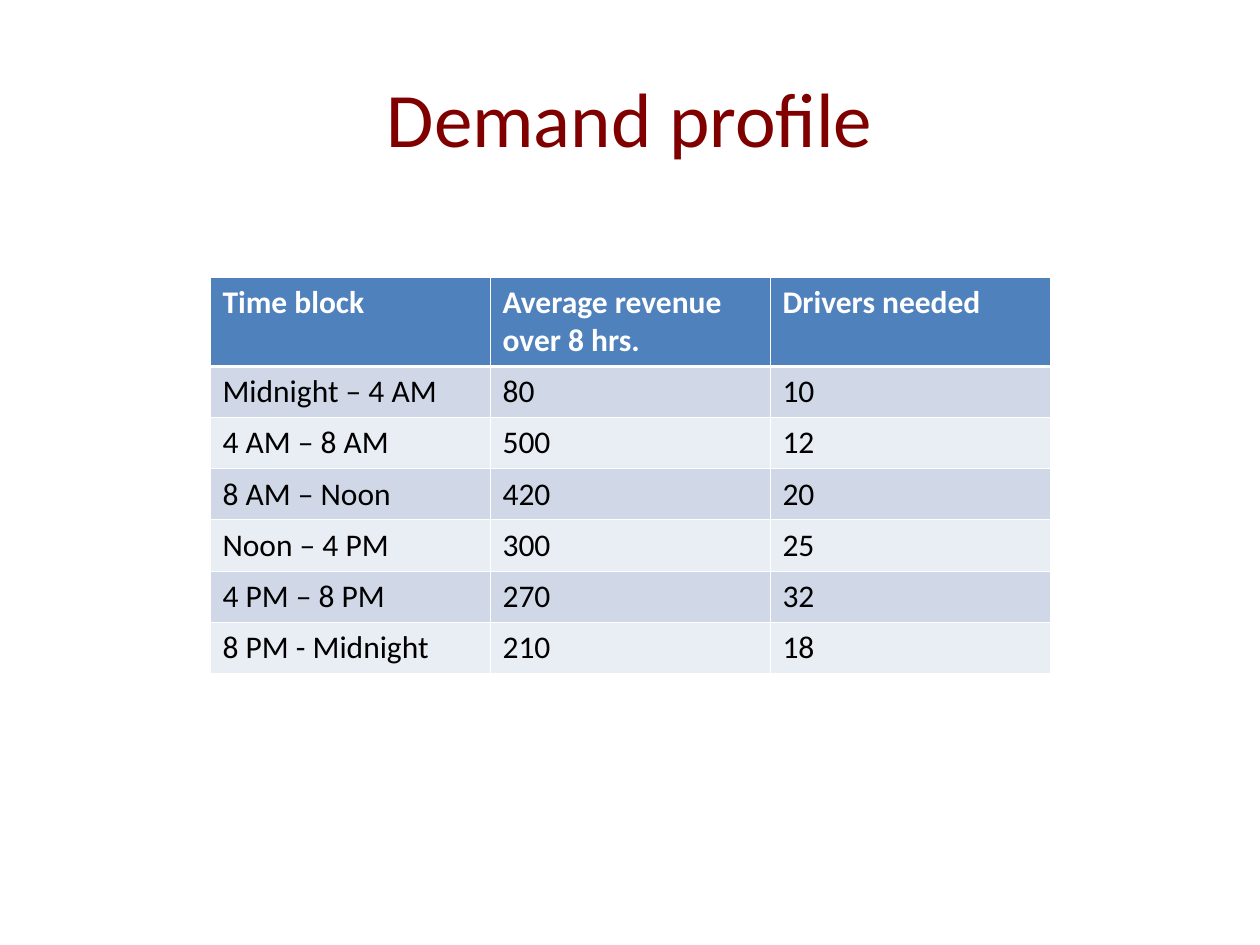
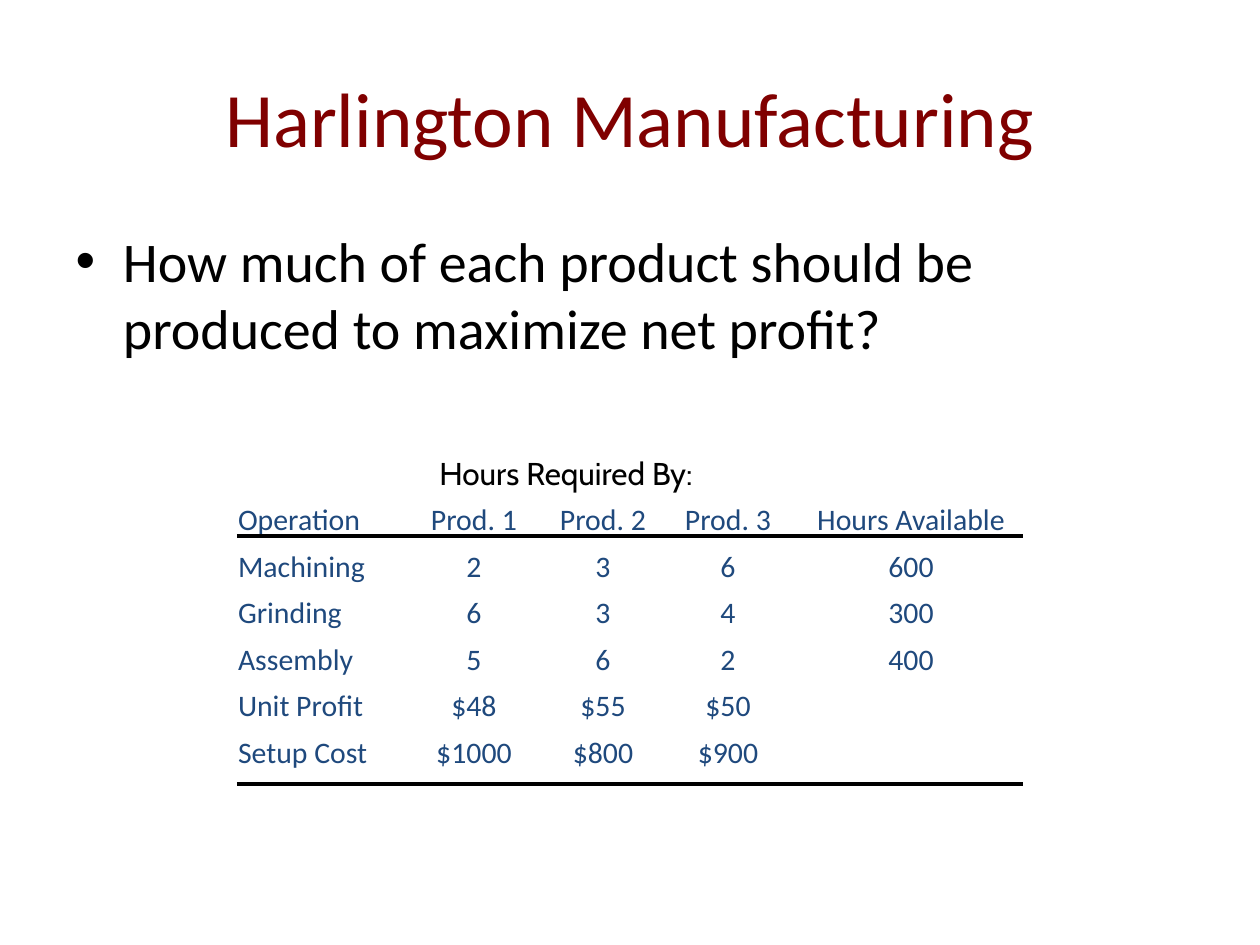
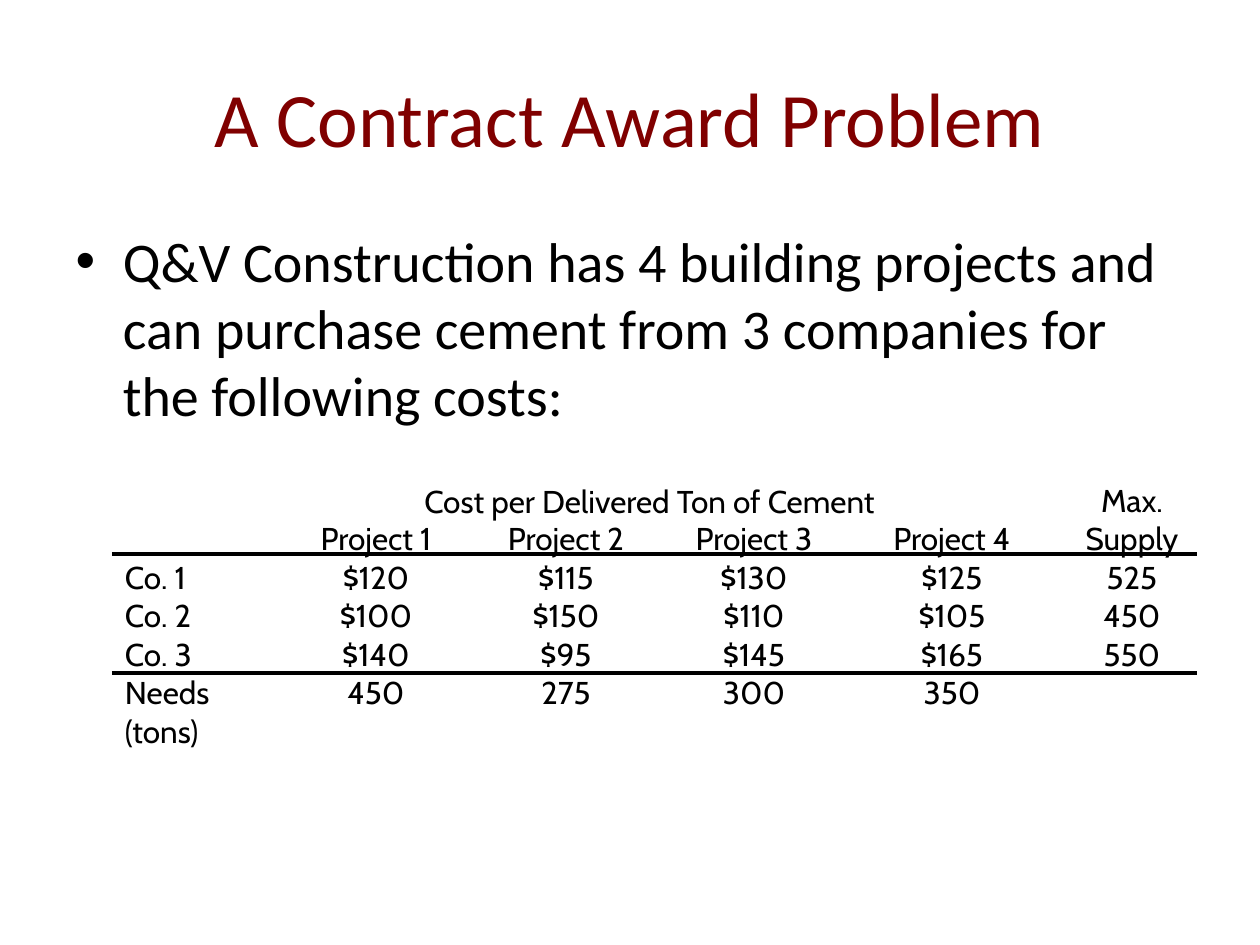
from collections import namedtuple

from pptx import Presentation
from pptx.dml.color import RGBColor
from pptx.enum.shapes import MSO_CONNECTOR
from pptx.enum.text import MSO_ANCHOR, PP_ALIGN
from pptx.oxml.ns import qn
from pptx.util import Emu, Pt
from lxml.etree import SubElement

COLORS = {
    "title": "800000",
    "text": "000000",
    "figures": "1F497D",
    "header": "4F81BD",
    "odd_row": "D0D8E8",
    "even_row": "E9EDF4",
    "white": "FFFFFF",
}
SCALE = 914400 / 126
BODY_FONT = "Calibri"
TABLE_FONT = "Cabin"

Box = namedtuple("Box", "left top width height")
Style = namedtuple("Style", "font size color line_spacing before after")

SLIDE = Box(0, 0, 1260, 945)
TITLE_BOX = Box(63, 38, 1134, 157)
BODY_BOX = Box(63, 220, 1134, 624)

DEMAND = [
    ("Time block", "Average revenue over 8 hrs.", "Drivers needed"),
    ("Midnight – 4 AM", "80", "10"),
    ("4 AM – 8 AM", "500", "12"),
    ("8 AM – Noon", "420", "20"),
    ("Noon – 4 PM", "300", "25"),
    ("4 PM – 8 PM", "270", "32"),
    ("8 PM - Midnight", "210", "18"),
]
OPERATIONS = [
    ("Operation", "Prod. 1", "Prod. 2", "Prod. 3", "Hours Available"),
    ("Machining", "2", "3", "6", "600"),
    ("Grinding", "6", "3", "4", "300"),
    ("Assembly", "5", "6", "2", "400"),
    ("Unit Profit", "$48", "$55", "$50"),
    ("Setup Cost", "$1000", "$800", "$900"),
]
CEMENT_COSTS = [
    ("", "", "", "", "", "Max."),
    ("", "Project 1", "Project 2", "Project 3", "Project 4", "Supply"),
    ("Co. 1", "$120", "$115", "$130", "$125", "525"),
    ("Co. 2", "$100", "$150", "$110", "$105", "450"),
    ("Co. 3", "$140", "$95", "$145", "$165", "550"),
    ("Needs", "450", "275", "300", "350"),
    ("(tons)",),
]


def px(length):
    """Turn px into EMU."""
    return Emu(round(length * SCALE))


def color(name):
    """Look up a named colour."""
    return RGBColor.from_string(COLORS[name])


def place(shape, box):
    """Move a shape to a box."""
    shape.left, shape.top, shape.width, shape.height = map(px, box)


def add_run(paragraph, text, font, size, color_name, bold=False):
    """Add one formatted run."""
    run = paragraph.add_run()
    run.text = text
    run.font.name = font
    run.font.size = Pt(size)
    run.font.bold = bold
    run.font.color.rgb = color(color_name)


def add_titled_slide(presentation, title, body=None):
    """Add a slide with a title and, if given, one bulleted statement."""
    layout = presentation.slide_layouts[1 if body else 5]
    slide = presentation.slides.add_slide(layout)
    place(slide.shapes.title, TITLE_BOX)
    paragraph = slide.shapes.title.text_frame.paragraphs[0]
    paragraph.alignment = PP_ALIGN.CENTER
    add_run(paragraph, title, BODY_FONT, 44, "title")
    if body:
        placeholder = slide.placeholders[1]
        place(placeholder, BODY_BOX)
        paragraph = placeholder.text_frame.paragraphs[0]
        paragraph.space_before = Pt(0)
        add_run(paragraph, body, BODY_FONT, 32, "text")
    return slide


def set_borders(cell, widths):
    """Draw white cell borders with a width in points for each side."""
    properties = cell._tc.get_or_add_tcPr()
    for side, width in widths.items():
        line = SubElement(properties, qn(f"a:ln{side}"), w=str(Pt(width)))
        fill = SubElement(line, qn("a:solidFill"))
        SubElement(fill, qn("a:srgbClr"), val=COLORS["white"])


def add_banded_table(slide, box, rows, header_height):
    """Add a table with a header row and banded rows of equal height."""
    columns = len(rows[0])
    table = slide.shapes.add_table(len(rows), columns, *map(px, box)).table
    row_height = (box.height - header_height) / (len(rows) - 1)
    for column in table.columns:
        column.width = px(box.width / columns)
    for row_index, values in enumerate(rows):
        header = row_index == 0
        band = "header" if header else "odd_row" if row_index % 2 else "even_row"
        table.rows[row_index].height = px(header_height if header else row_height)
        for column_index, value in enumerate(values):
            cell = table.cell(row_index, column_index)
            set_borders(cell, {
                "L": 0.45,
                "R": 0.45,
                "T": 1.47 if row_index == 1 else 0.45,
                "B": 1.47 if header else 0.45,
            })
            cell.fill.solid()
            cell.fill.fore_color.rgb = color(band)
            add_run(cell.text_frame.paragraphs[0], value, BODY_FONT, 18,
                    "white" if header else "text", bold=header)


def add_text_frame(shapes, box, margins):
    """Add a wrapping text box with left, top, right and bottom margins."""
    frame = shapes.add_textbox(*map(px, box)).text_frame
    frame.word_wrap = True
    (frame.margin_left, frame.margin_top,
     frame.margin_right, frame.margin_bottom) = map(px, margins)
    return frame


def add_heading(shapes, box, text, margins):
    """Add the centred heading above the columns."""
    paragraph = add_text_frame(shapes, box, margins).paragraphs[0]
    paragraph.alignment = PP_ALIGN.CENTER
    add_run(paragraph, text, TABLE_FONT, 18, "text")


def add_rule(shapes, left, top, width):
    """Add a horizontal black rule."""
    rule = shapes.add_connector(MSO_CONNECTOR.STRAIGHT, px(left), px(top),
                                px(left + width), px(top))
    rule.line.color.rgb = color("text")
    rule.line.width = Pt(2)
    SubElement(rule._element.spPr, qn("a:effectLst"))


def add_tabbed_rows(shapes, box, rows, stops, style, margins, anchor):
    """Add rows of text whose columns are centred on tab stops."""
    frame = add_text_frame(shapes, box, margins)
    frame.vertical_anchor = anchor
    for index, values in enumerate(rows):
        paragraph = frame.add_paragraph() if index else frame.paragraphs[0]
        paragraph.line_spacing = style.line_spacing
        paragraph.space_before = Pt(style.before if index else 0)
        paragraph.space_after = Pt(style.after)
        tabs = SubElement(paragraph._p.get_or_add_pPr(), qn("a:tabLst"))
        for stop in stops:
            SubElement(tabs, qn("a:tab"), pos=str(px(stop)), algn="ctr")
        add_run(paragraph, "\t".join(values), style.font, style.size, style.color)


def add_operations(shapes, box):
    """Place the operations figures, their heading and two rules."""
    style = Style(BODY_FONT, 17, "figures", 0.8, 4.2, 6)
    add_tabbed_rows(shapes, box, OPERATIONS, (236, 365, 490, 673), style,
                    (10, 5, 10, 52), MSO_ANCHOR.MIDDLE)
    add_heading(shapes, Box(box.left + 189, box.top - 63, 360, 48),
                "Hours Required By:", (10, 5, 72, 5))
    for offset in (24, 272):
        add_rule(shapes, box.left + 9, box.top + offset, 786)


def add_cement_costs(shapes, box):
    """Place the cement costs, their heading and two rules."""
    style = Style(TABLE_FONT, 18, "text", 0.5, 11.2, 0)
    margins = (13, 6, 13, 6)
    add_tabbed_rows(shapes, box, CEMENT_COSTS, (251, 441, 629, 827, 1007), style,
                    margins, MSO_ANCHOR.TOP)
    for offset in (63, 182):
        add_rule(shapes, box.left, box.top + offset, box.width)
    add_heading(shapes, Box(box.left + 61, box.top - 15, 953, 50),
                "Cost per Delivered Ton of Cement", margins)


def main():
    """Build and save the three slides."""
    presentation = Presentation()
    presentation.slide_width = px(SLIDE.width)
    presentation.slide_height = px(SLIDE.height)

    slide = add_titled_slide(presentation, "Demand profile")
    add_banded_table(slide, Box(210, 277, 840, 394), DEMAND, 88)

    slide = add_titled_slide(
        presentation, "Harlington Manufacturing",
        "How much of each product should be produced to maximize net profit?")
    add_operations(slide.shapes, Box(228, 512, 850, 300))

    slide = add_titled_slide(
        presentation, "A Contract Award Problem",
        "Q&V Construction has 4 building projects and can purchase cement "
        "from 3 companies for the following costs:")
    add_cement_costs(slide.shapes.add_group_shape().shapes,
                     Box(112, 491, 1085, 263))

    presentation.save("out.pptx")


if __name__ == "__main__":
    main()
